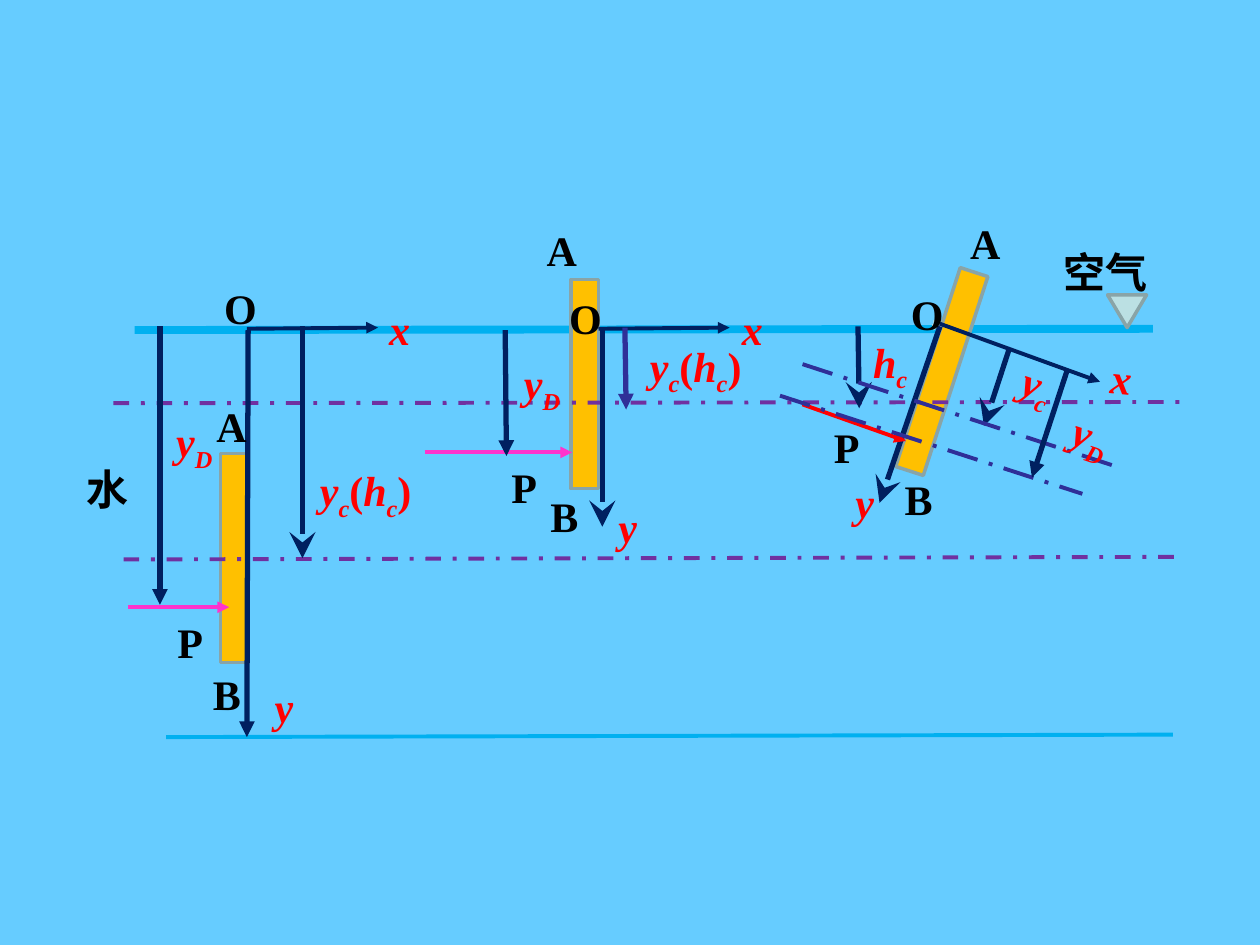
import pptx
import pptx.util
import pptx.dml.color
import pptx.enum.dml
import pptx.enum.shapes
import pptx.enum.text
import pptx.oxml.ns
from lxml import etree

Pt = pptx.util.Pt
RGBColor = pptx.dml.color.RGBColor
SHAPE = pptx.enum.shapes.MSO_SHAPE
DASH = pptx.enum.dml.MSO_LINE

SKY = RGBColor(0x66, 0xCC, 0xFF)
WATER = RGBColor(0x00, 0xB0, 0xF0)
PALE = RGBColor(0xBB, 0xE0, 0xE3)
PALE_AXIS = RGBColor(0xB6, 0xDC, 0xDF)
EDGE = RGBColor(0x89, 0xA4, 0xA7)
GOLD = RGBColor(0xFF, 0xC0, 0x00)
PURPLE = RGBColor(0x70, 0x30, 0xA0)
INDIGO = RGBColor(0x2F, 0x2F, 0x98)
NAVY = RGBColor(0x00, 0x20, 0x60)
PINK = RGBColor(0xFF, 0x33, 0xCC)
RED = RGBColor(0xFF, 0x00, 0x00)
BLACK = RGBColor(0x00, 0x00, 0x00)


def write_text(paragraph, text, font="Times New Roman", size=24, color=BLACK, italic=False):
    """Write bold text; a character after "_" is a subscript, brackets stay upright."""
    subscript = False
    for symbol in text:
        if symbol == "_":
            subscript = True
            continue
        run = paragraph.add_run()
        run.text = symbol
        run.font.name = font
        run.font.size = Pt(size)
        run.font.bold = True
        run.font.italic = italic and symbol not in "()"
        run.font.color.rgb = color
        if subscript:
            run.font._element.set("baseline", "-25000")
        subscript = False


class Diagram:
    def __init__(self, slide, edge_width=2, label_height=36):
        self.slide = slide
        self.edge_width = edge_width
        self.label_height = label_height
        slide.background.fill.solid()
        slide.background.fill.fore_color.rgb = SKY

    def line(self, x1, y1, x2, y2, color, width=2.25, dash=None, head=None):
        connector = self.slide.shapes.add_connector(
            pptx.enum.shapes.MSO_CONNECTOR.STRAIGHT, Pt(x1), Pt(y1), Pt(x2), Pt(y2))
        connector.line.color.rgb = color
        connector.line.width = Pt(width)
        if dash:
            connector.line.dash_style = dash
        if head:
            span = "lg" if head == "stealth" else "med"
            etree.SubElement(connector.line._get_or_add_ln(), pptx.oxml.ns.qn("a:tailEnd"),
                             type=head, w=span, len=span)
        etree.SubElement(connector._element.spPr, pptx.oxml.ns.qn("a:effectLst"))

    def arrow(self, x1, y1, x2, y2, color=NAVY, width=3, head="triangle"):
        self.line(x1, y1, x2, y2, color, width, head=head)

    def solid(self, preset, x, y, width, height, fill, rotation=0):
        shape = self.slide.shapes.add_shape(preset, Pt(x), Pt(y), Pt(width), Pt(height))
        shape.rotation = rotation
        shape.shadow.inherit = False
        shape.fill.solid()
        shape.fill.fore_color.rgb = fill
        shape.line.color.rgb = EDGE
        shape.line.width = Pt(self.edge_width)

    def label(self, text, x, y, width, rotation=0, **text_format):
        box = self.slide.shapes.add_textbox(Pt(x), Pt(y), Pt(width), Pt(self.label_height))
        box.rotation = rotation
        box.text_frame.word_wrap = True
        box.text_frame.auto_size = pptx.enum.text.MSO_AUTO_SIZE.SHAPE_TO_FIT_TEXT
        write_text(box.text_frame.paragraphs[0], text, **text_format)

    def quantity(self, text, x, y, width, rotation=0):
        self.label(text, x, y, width, rotation, color=RED, italic=True)


def draw_water(diagram):
    diagram.line(77, 188.6, 658.8, 187.9, WATER, 4.5)
    diagram.solid(SHAPE.ISOSCELES_TRIANGLE, 632.9, 168.5, 22.3, 18.7, PALE, 180)
    for x, y, width, rotation in ((326.2, 159.8, 15.8, 0), (529.9, 152.6, 16.6, 18),
                                  (126, 259.2, 15.8, 0)):
        diagram.solid(SHAPE.RECTANGLE, x, y, width, 119.5, GOLD, rotation)
    diagram.line(95, 421.2, 670.3, 419.8, WATER)
    diagram.line(70.6, 319.7, 676.8, 318.2, PURPLE, dash=DASH.DASH_DOT)
    diagram.line(64.8, 230.4, 674.6, 229.7, PURPLE, dash=DASH.DASH_DOT)


def draw_arrows(diagram):
    diagram.arrow(532.8, 185.8, 539.3, 185.8, PALE_AXIS, 0.75)
    # y axes and centroid depths
    for ends in ((537.1, 186.5, 502.6, 287.3), (344.2, 188.6, 344.2, 301),
                 (172.8, 186.5, 172.8, 319), (576.7, 199.4, 562.3, 243.4),
                 (490.3, 186.5, 491, 233.3)):
        diagram.arrow(*ends, head="stealth")
    # x axes
    for ends in ((537.1, 185, 628.6, 218.2), (342, 187.9, 416.9, 187.2),
                 (141.1, 187.9, 216, 187.2)):
        diagram.arrow(*ends, width=2.25)
    # resultant forces
    diagram.arrow(458.6, 231.1, 517.7, 252, RED, 2.25)
    diagram.arrow(242.6, 258.5, 326.9, 258.5, PINK, 2.25)
    diagram.arrow(73.4, 347, 131, 347, PINK, 2.25)
    diagram.line(458.6, 208.1, 637.2, 266.4, INDIGO, dash=DASH.LONG_DASH_DOT)
    diagram.line(445.7, 226.1, 618.5, 282.2, INDIGO, dash=DASH.LONG_DASH_DOT)
    # depths of the pressure centres and the left y axis
    for ends in ((288.7, 188.6, 289.4, 260.6), (609.8, 211.7, 589.7, 272.9),
                 (91.4, 186.5, 91.4, 345.6), (141.8, 188.6, 141.1, 421.2)):
        diagram.arrow(*ends)
    diagram.arrow(357.1, 187.2, 357.8, 234, INDIGO)


def draw_labels(diagram):
    diagram.label("空气", 600.5, 137.5, 66.2, font="Arial")
    diagram.label("水", 42.5, 261.4, 35.3, font="Arial")
    for text, x, y, width in (
            ("O", 513.4, 161.3, 26), ("O", 318.2, 163.4, 26), ("O", 121, 157.7, 26.6),
            ("P", 469.4, 237.6, 33.1), ("P", 285.1, 259.9, 33.1), ("P", 94.3, 348.5, 29.5),
            ("A", 305.3, 124.6, 35.3), ("A", 547.2, 121, 35.3), ("A", 116.6, 225.4, 35.3),
            ("B", 307.4, 276.5, 35.3), ("B", 509.8, 267.1, 35.3), ("B", 114.5, 378.7, 35.3)):
        diagram.label(text, x, y, width)
    for text, x, y, width, rotation in (
            ("x", 627.8, 198, 25.2, 5.6), ("x", 416.9, 169.9, 25.2, 0), ("x", 215.3, 169.9, 25.2, 0),
            ("y", 481.7, 268.6, 31, 0), ("y", 346.3, 283, 28.1, 357.3),
            ("y", 149.8, 385.2, 38.2, 357.3),
            ("y_c(h_c)", 175.7, 262.1, 80.6, 0), ("y_c(h_c)", 364.3, 190.8, 72, 0),
            ("y_c", 577.4, 202.3, 38.9, 18.6), ("h_c", 491.8, 188.6, 38.9, 0),
            ("y_D", 292.3, 200.9, 38.9, 0), ("y_D", 606.2, 231.1, 38.9, 18.6),
            ("y_D", 93.6, 234, 38.9, 0)):
        diagram.quantity(text, x, y, width, rotation)


def main():
    deck = pptx.Presentation()
    deck.slide_width, deck.slide_height = Pt(720), Pt(540)
    diagram = Diagram(deck.slides.add_slide(deck.slide_layouts[6]))
    draw_water(diagram)
    draw_arrows(diagram)
    draw_labels(diagram)
    deck.save("out.pptx")


if __name__ == "__main__":
    main()
